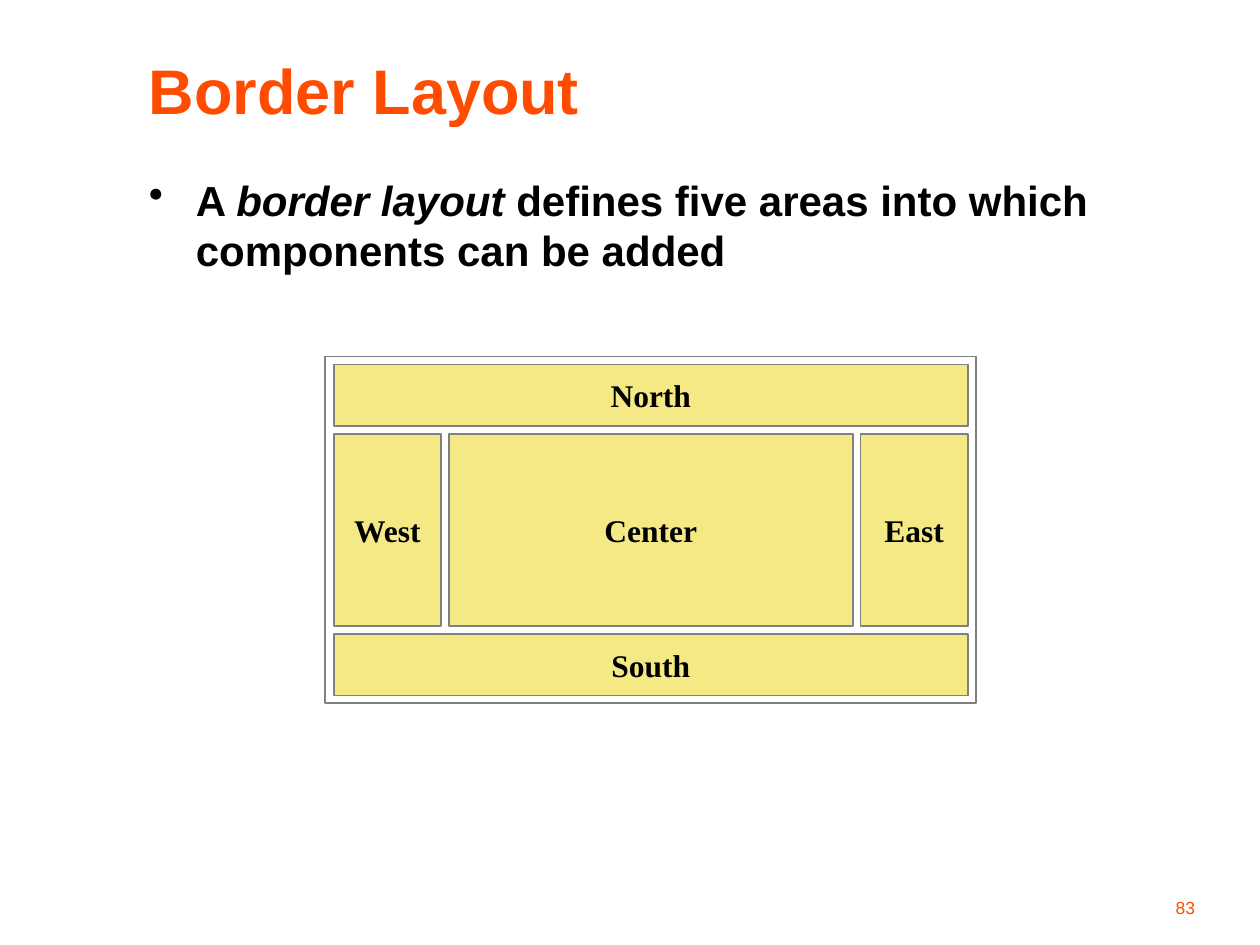
import pptx
import pptx.util
import pptx.dml.color
import pptx.enum.shapes
import pptx.enum.text
import pptx.oxml.ns
import lxml.etree

Cm, Pt = pptx.util.Cm, pptx.util.Pt
ANCHOR, ALIGN = pptx.enum.text.MSO_ANCHOR, pptx.enum.text.PP_ALIGN
COLORS = {"accent": "FF4C00", "text": "000000", "panel": "F5E985",
          "frame": "FFFFFF", "line": "808080"}


class Deck:
    """Style and current slide."""

    fonts = {
        "title": dict(name="Arial", size=Pt(36), bold=True, color="accent"),
        "body": dict(name="Arial", size=Pt(24), bold=True, color="text"),
        "panel": dict(name="Times New Roman", size=Pt(18), bold=True, color="text"),
        "number": dict(name="Arial", size=Pt(10), bold=False, color="accent"),
    }

    def __init__(self, prs):
        self.s = prs.slides.add_slide(prs.slide_layouts[6])

    def rgb(self, key):
        return pptx.dml.color.RGBColor.from_string(COLORS[key])

    def fill_text(self, tf, runs, style, align=ALIGN.LEFT, anchor=ANCHOR.TOP,
                  wrap=True):
        """Fill a text frame with (text, italic) runs."""
        tf.word_wrap, tf.vertical_anchor = wrap, anchor
        p = tf.paragraphs[0]
        p.alignment = align
        for text, italic in runs:
            r = p.add_run()
            r.text = text
            r.font.italic = italic
            for attr, value in self.fonts[style].items():
                if attr == "color":
                    r.font.color.rgb = self.rgb(value)
                else:
                    setattr(r.font, attr, value)
        return p

    def text(self, box, runs, style, **layout):
        sp = self.s.shapes.add_textbox(*map(Cm, box))
        return self.fill_text(sp.text_frame, runs, style, **layout)

    def bullet(self, p, indent):
        pPr = p._p.get_or_add_pPr()
        pPr.set("marL", str(Cm(indent)))
        pPr.set("indent", str(-Cm(indent)))
        bu = lxml.etree.SubElement(pPr, pptx.oxml.ns.qn("a:buChar"))
        bu.set("char", "•")
        p.space_before = Pt(6)

    def group(self):
        return self.s.shapes.add_group_shape()

    def rect(self, group, box, fill, label=None):
        sp = group.shapes.add_shape(
            pptx.enum.shapes.MSO_SHAPE.RECTANGLE, *map(Cm, box))
        sp.shadow.inherit = False
        sp.fill.solid()
        sp.fill.fore_color.rgb = self.rgb(fill)
        sp.line.color.rgb = self.rgb("line")
        sp.line.width = Pt(1)
        if label:
            self.fill_text(sp.text_frame, [(label, False)], "panel",
                           align=ALIGN.CENTER, anchor=ANCHOR.MIDDLE, wrap=False)


def main():
    prs = pptx.Presentation()
    prs.slide_width, prs.slide_height = Cm(25.4), Cm(19.05)
    deck = Deck(prs)

    # Title and bullet
    deck.text((2.75, 0.85, 22.01, 1.9), [("Border Layout", False)], "title",
              anchor=ANCHOR.MIDDLE)
    p = deck.text((2.75, 3.39, 22.01, 13.76),
                  [("A ", False), ("border layout", True),
                   (" defines five areas into which components can be added", False)],
                  "body")
    deck.bullet(p, 0.95)

    # Diagram: three rows, the middle one split into three columns
    left, top, width, gap = 6.73, 7.35, 12.78, 0.16
    band_h, middle_h, side_w = 1.24, 3.87, 2.16
    center_w = width - 2 * (side_w + gap)
    middle_y = top + band_h + gap
    south_y = middle_y + middle_h + gap
    center_x = left + side_w + gap
    east_x = center_x + center_w + gap
    areas = {
        "North": (left, top, width, band_h),
        "South": (left, south_y, width, band_h),
        "Center": (center_x, middle_y, center_w, middle_h),
        "East": (east_x, middle_y, side_w, middle_h),
        "West": (left, middle_y, side_w, middle_h),
    }
    diagram = deck.group()
    deck.rect(diagram, (6.56, 7.19, 13.12, 6.99), "frame")
    for label, box in areas.items():
        deck.rect(diagram, box, "panel", label)

    # Slide number
    deck.text((19.05, 17.57, 5.29, 1.06), [("83", False)], "number",
              align=ALIGN.RIGHT, anchor=ANCHOR.BOTTOM)

    prs.save("out.pptx")


if __name__ == "__main__":
    main()
